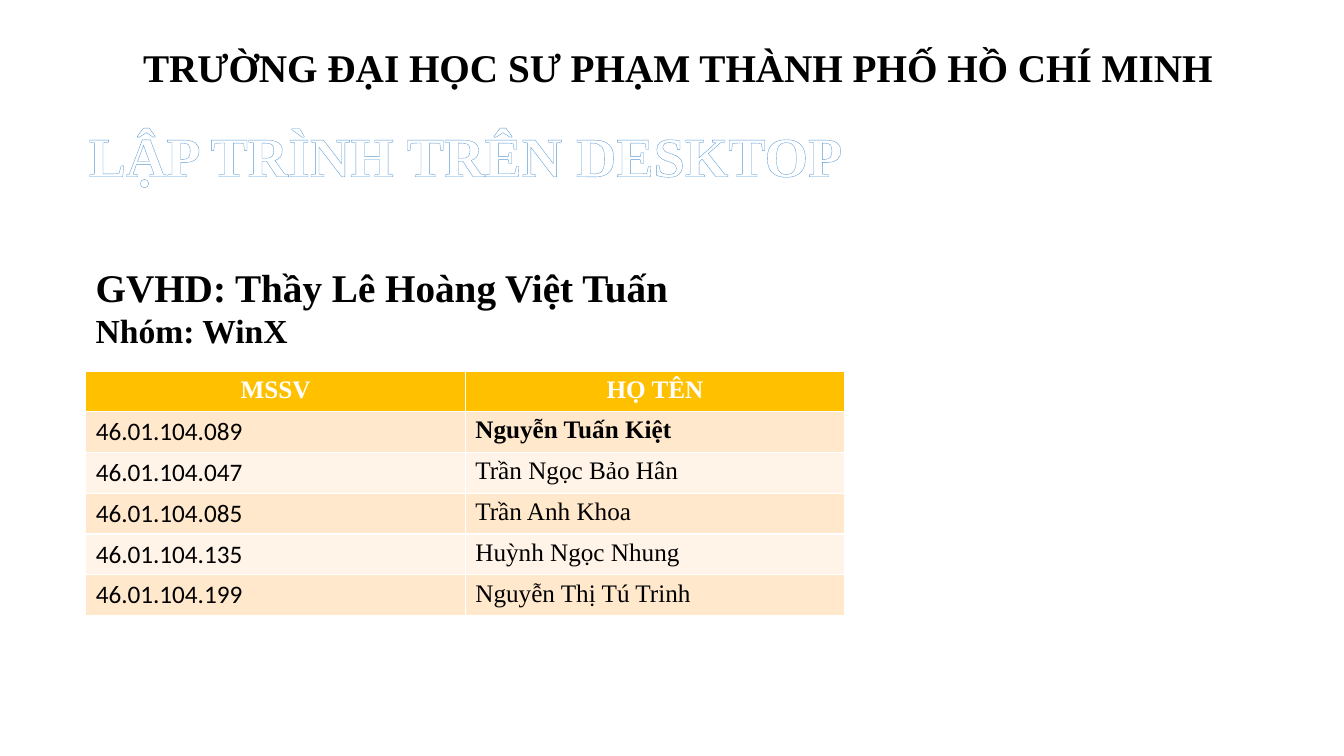
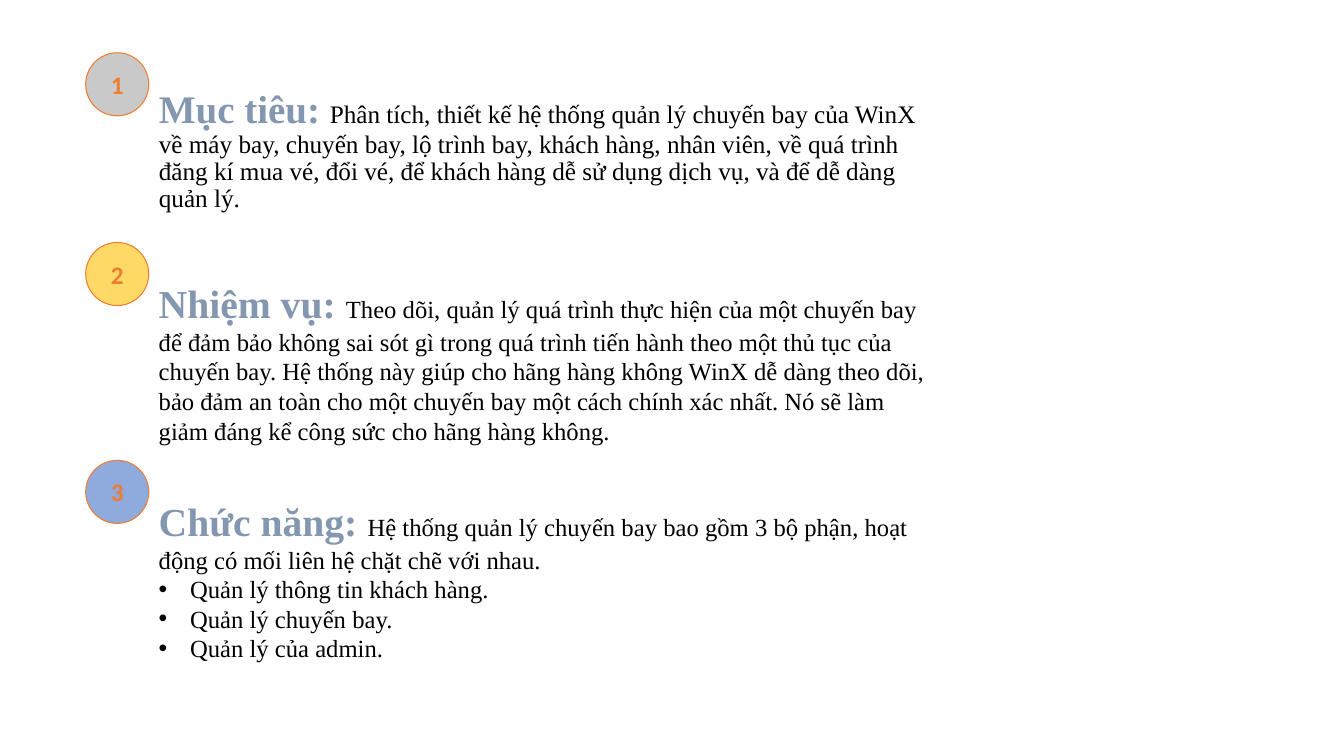
"""Build two slides that introduce a student project and its aims."""
from dataclasses import dataclass

from lxml import etree
from pptx import Presentation
from pptx.dml.color import RGBColor
from pptx.enum import shapes, text
from pptx.oxml import ns
from pptx.util import Cm, Pt


@dataclass(frozen=True)
class Theme:
    serif: str = "Times New Roman"
    sans: str = "Calibri"
    black: str = "000000"
    white: str = "FFFFFF"
    header: str = "FFC000"
    bands: tuple = ("FFE8CC", "FFF4E7")
    heading: str = "8497B0"
    accent: str = "ED7D31"
    outline: str = "5B9BD5"
    banner_pt: float = 40
    title_pt: float = 28
    group_pt: float = 24
    table_pt: float = 18


T = Theme()
LEFT = Cm(2.16)


def add_run(p, words, size, color=T.black, bold=False, font=T.serif):
    r = p.add_run()
    r.text = words
    r.font.name = font
    r.font.size = Pt(size)
    r.font.bold = bold
    r.font.color.rgb = RGBColor.from_string(color)
    return r


def set_frame(sp, anchor=text.MSO_ANCHOR.TOP, align=text.PP_ALIGN.LEFT, wrap=True):
    tf = sp.text_frame
    tf.auto_size = text.MSO_AUTO_SIZE.NONE
    tf.word_wrap = wrap
    tf.vertical_anchor = anchor
    tf.paragraphs[0].alignment = align
    return tf


prs = Presentation()
prs.slide_width, prs.slide_height = Cm(33.87), Cm(19.05)
layout = prs.slide_layouts[5]

s = prs.slides.add_slide(layout)
sp = s.shapes.title
sp.left, sp.top, sp.width, sp.height = Cm(3.35), Cm(0.79), Cm(29.54), Cm(1.96)
p = set_frame(sp, text.MSO_ANCHOR.MIDDLE).paragraphs[0]
p.line_spacing = 0.9
add_run(p, "TRƯỜNG ĐẠI HỌC SƯ PHẠM THÀNH PHỐ HỒ CHÍ MINH", T.title_pt, bold=True)

sp = s.shapes.add_textbox(LEFT, Cm(6.5), Cm(15.7), Cm(2.49))
tf = set_frame(sp)
add_run(tf.paragraphs[0], "GVHD: Thầy Lê Hoàng Việt Tuấn", T.title_pt, bold=True)
add_run(tf.add_paragraph(), "Nhóm: WinX", T.group_pt, bold=True)

sp = s.shapes.add_textbox(Cm(1.6), Cm(2.92), Cm(20.27), Cm(1.96))
p = set_frame(sp, align=text.PP_ALIGN.CENTER, wrap=False).paragraphs[0]
r = add_run(p, "LẬP TRÌNH TRÊN DESKTOP", T.banner_pt, T.white, True)
ln = etree.Element(ns.qn("a:ln"), w=str(Pt(0.8)))
fill = etree.SubElement(ln, ns.qn("a:solidFill"))
etree.SubElement(fill, ns.qn("a:srgbClr"), val=T.outline)
r.font._element.insert(0, ln)

members = [
    ("MSSV", "HỌ TÊN"),
    ("46.01.104.089", "Nguyễn Tuấn Kiệt"),
    ("46.01.104.047", "Trần Ngọc Bảo Hân"),
    ("46.01.104.085", "Trần Anh Khoa"),
    ("46.01.104.135", "Huỳnh Ngọc Nhung"),
    ("46.01.104.199", "Nguyễn Thị Tú Trinh"),
]
table = s.shapes.add_table(len(members), 2, LEFT, Cm(9.35), Cm(19.13), Cm(6.1)).table
for i, row in enumerate(members):
    for j, words in enumerate(row):
        cell = table.cell(i, j)
        cell.fill.solid()
        p = cell.text_frame.paragraphs[0]
        if i == 0:
            shade, color, font = T.header, T.white, T.serif
            p.alignment = text.PP_ALIGN.CENTER
        else:
            shade, color = T.bands[(i - 1) % 2], T.black
            font = T.serif if j else T.sans
        cell.fill.fore_color.rgb = RGBColor.from_string(shade)
        leader = i == 1 and j == 1
        add_run(p, words, T.table_pt, color, i == 0 or leader, font)

s = prs.slides.add_slide(layout)
sections = [
    (2.13, 3.99, "C9C9C9", 27.9, 18, "Mục tiêu: ",
     "Phân tích, thiết kế hệ thống quản lý chuyến bay của WinX về máy bay, "
     "chuyến bay, lộ trình bay, khách hàng, nhân viên, về quá trình đăng kí mua vé, "
     "đổi vé, để khách hàng dễ sử dụng dịch vụ, và để dễ dàng quản lý.", []),
    (6.91, 4.7, "FFD966", 28.3, 17.6, "Nhiệm vụ: ",
     "Theo dõi, quản lý quá trình thực hiện của một chuyến bay để đảm bảo không sai "
     "sót gì trong quá trình tiến hành theo một thủ tục của chuyến bay. Hệ thống này "
     "giúp cho hãng hàng không WinX dễ dàng theo dõi, bảo đảm an toàn cho một chuyến "
     "bay một cách chính xác nhất. Nó sẽ làm giảm đáng kể công sức cho hãng hàng "
     "không.", []),
    (12.4, 4.52, "8FAADC", 28.3, 17.6, "Chức năng: ",
     "Hệ thống quản lý chuyến bay bao gồm 3 bộ phận, hoạt động có mối liên hệ chặt "
     "chẽ với nhau.",
     ["Quản lý thông tin khách hàng.", "Quản lý chuyến bay.", "Quản lý của admin."]),
]
for n, (top, height, shade, head_pt, body_pt, head, body, items) in enumerate(sections, 1):
    box = Cm(3.75), Cm(top), Cm(20), Cm(height)
    if n == 1:
        sp = s.shapes.title
        sp.left, sp.top, sp.width, sp.height = box
    else:
        sp = s.shapes.add_textbox(*box)
    tf = set_frame(sp)
    p = tf.paragraphs[0]
    if n == 1:
        p.line_spacing = 0.9
    add_run(p, head, head_pt, T.heading, True)
    add_run(p, body, body_pt)
    for item in items:
        p = tf.add_paragraph()
        pPr = p._p.get_or_add_pPr()
        pPr.set("marL", str(Cm(0.79)))
        pPr.set("indent", str(-Cm(0.79)))
        etree.SubElement(pPr, ns.qn("a:buFont"), typeface="Arial")
        etree.SubElement(pPr, ns.qn("a:buChar"), char="•")
        add_run(p, item, body_pt)

    sp = s.shapes.add_shape(shapes.MSO_SHAPE.FLOWCHART_CONNECTOR,
                            LEFT, Cm(top - 0.8), Cm(1.59), Cm(1.59))
    sp.shadow.inherit = False
    sp.fill.solid()
    sp.fill.fore_color.rgb = RGBColor.from_string(shade)
    sp.line.color.rgb = RGBColor.from_string(T.accent)
    sp.line.width = Pt(0.75)
    tf = set_frame(sp, text.MSO_ANCHOR.MIDDLE, text.PP_ALIGN.CENTER)
    add_run(tf.paragraphs[0], str(n), T.table_pt, T.accent, True, T.sans)

prs.save("out.pptx")
